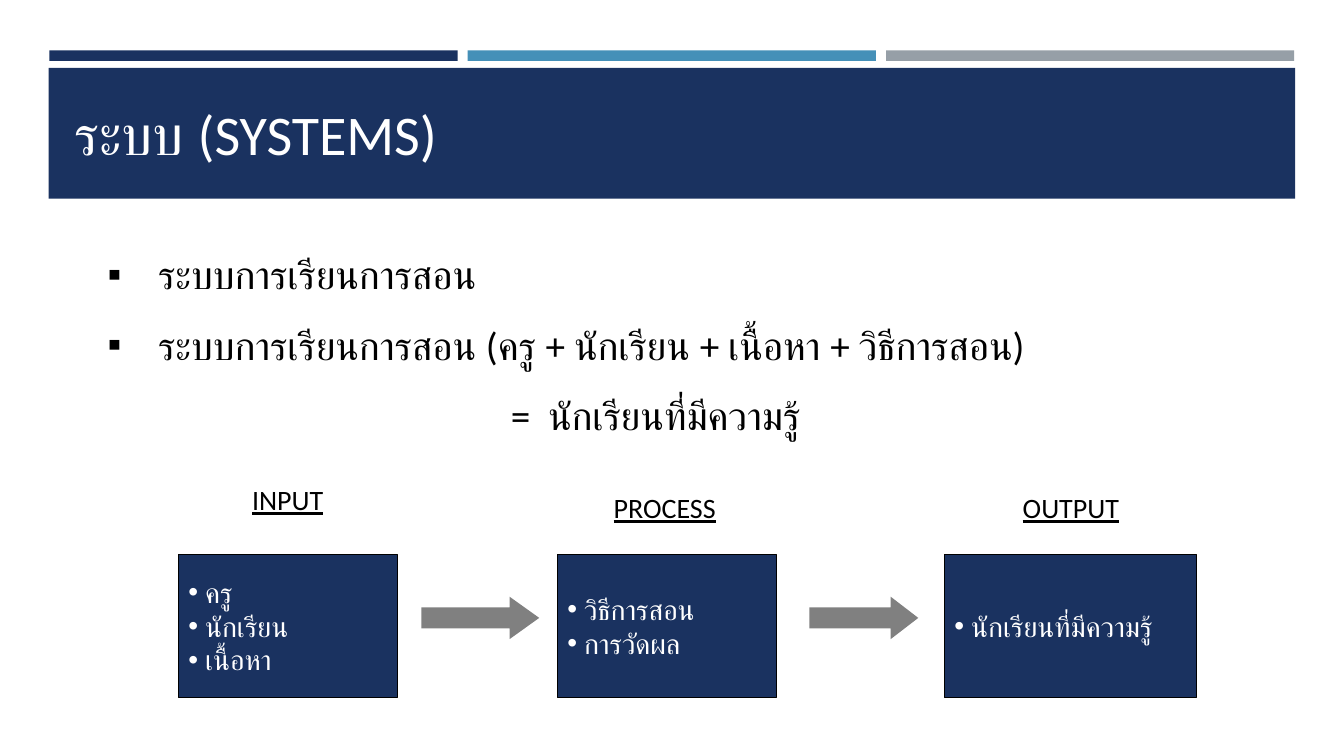
"""Build the slide on teaching systems."""
from lxml.etree import SubElement
from pptx import Presentation
from pptx.dml.color import RGBColor
from pptx.enum.shapes import MSO_SHAPE
from pptx.enum.text import MSO_ANCHOR, PP_ALIGN
from pptx.oxml.ns import qn
from pptx.util import Pt

COLORS = {
    "navy": "1A3260",
    "blue": "4590B8",
    "steel": "969FA7",
    "gray": "808080",
    "black": "000000",
    "white": "FFFFFF",
}
BOX_TOP, BOX_HIGH = 396, 102.24


def color(name):
    """Return the named colour."""
    return RGBColor.from_string(COLORS[name])


def style(para, size, tone):
    """Set the font of a paragraph."""
    para.font.name = "Calibri"
    para.font.size = Pt(size)
    para.font.color.rgb = color(tone)


def indent(para, left, bullet=None):
    """Indent a paragraph, with a hanging bullet if one is given."""
    props = para._p.get_or_add_pPr()
    props.set("marL", str(Pt(left)))
    props.set("indent", str(Pt(-left if bullet else 0)))
    if bullet:
        SubElement(props, qn("a:buFont")).set("typeface", "Arial")
        SubElement(props, qn("a:buChar")).set("char", bullet)


def add_block(slide, kind, left, top, width, height, fill):
    """Add a flat filled shape without an outline."""
    block = slide.shapes.add_shape(kind, Pt(left), Pt(top), Pt(width), Pt(height))
    block.shadow.inherit = False
    block.fill.solid()
    block.fill.fore_color.rgb = color(fill)
    block.line.fill.background()
    return block


def add_frame(slide, left, top, width, height):
    """Add a wrapping text box and return its text frame."""
    box = slide.shapes.add_textbox(Pt(left), Pt(top), Pt(width), Pt(height))
    box.text_frame.word_wrap = True
    return box.text_frame


def add_head(slide, text):
    """Add the stripes and the band, and set the title on top of them."""
    for i, fill in enumerate(("navy", "blue", "steel")):
        add_block(slide, MSO_SHAPE.RECTANGLE, 35.28 + 298.8 * i, 36, 291.6, 7.5, fill)
    add_block(slide, MSO_SHAPE.RECTANGLE, 34.8, 48.5, 890.4, 93.5, "navy")
    title = slide.shapes.title
    title.left, title.top = Pt(46.08), Pt(55.44)
    title.width, title.height = Pt(868.32), Pt(79.92)
    title.text_frame.text = text
    title.text_frame.vertical_anchor = MSO_ANCHOR.MIDDLE
    para = title.text_frame.paragraphs[0]
    para.alignment = PP_ALIGN.LEFT
    style(para, 40, "white")
    title.element.getparent().append(title.element)


def add_body(slide, items):
    """Add the main text from (text, indent, bullet) items."""
    frame = add_frame(slide, 69.84, 158.4, 836.64, 159.84)
    frame.text = "\n".join(text for text, _, _ in items)
    for para, (_, left, bullet) in zip(frame.paragraphs, items):
        para.line_spacing = 1.5
        style(para, 28, "black")
        indent(para, left, bullet)


def add_label(slide, text, left, top, width):
    """Add an underlined, centred label."""
    frame = add_frame(slide, left, top, width, 31.68)
    frame.text = text
    para = frame.paragraphs[0]
    para.alignment = PP_ALIGN.CENTER
    style(para, 20, "black")
    para.font.underline = True


def add_stage(slide, left, width, items):
    """Add an outlined box with a bullet list."""
    box = add_block(slide, MSO_SHAPE.RECTANGLE, left, BOX_TOP, width, BOX_HIGH, "navy")
    box.line.color.rgb = color("black")
    box.line.width = Pt(0.75)
    frame = box.text_frame
    frame.vertical_anchor = MSO_ANCHOR.MIDDLE
    frame.text = "\n".join(items)
    for para in frame.paragraphs:
        para.alignment = PP_ALIGN.LEFT
        style(para, 20, "white")
        indent(para, 12, "•")


def add_arrow(slide, left, width, head):
    """Add a gray arrow between two stages."""
    arrow = add_block(slide, MSO_SHAPE.RIGHT_ARROW, left, 426.24, width, 30.24, "gray")
    arrow.adjustments[0] = 0.5
    arrow.adjustments[1] = head


def main():
    """Build and save the deck."""
    deck = Presentation()
    deck.slide_width, deck.slide_height = Pt(960), Pt(540)
    slide = deck.slides.add_slide(deck.slide_layouts[5])
    add_head(slide, "ระบบ (SYSTEMS)")
    add_body(slide, [
        ("ระบบการเรียนการสอน", 36, "▪"),
        ("ระบบการเรียนการสอน (ครู + นักเรียน + เนื้อหา + วิธีการสอน)", 36, "▪"),
        ("=  นักเรียนที่มีความรู้", 288, None),
    ])
    add_stage(slide, 127.44, 156.24, ["ครู", "นักเรียน", "เนื้อหา"])
    add_stage(slide, 398.16, 156.24, ["วิธีการสอน", "การวัดผล"])
    add_stage(slide, 674.64, 180, ["นักเรียนที่มีความรู้"])
    add_arrow(slide, 300.96, 84.24, 0.7)
    add_arrow(slide, 578.16, 77.76, 0.65)
    add_label(slide, "INPUT", 160.56, 341.28, 90)
    add_label(slide, "PROCESS", 408.96, 347.04, 131.76)
    add_label(slide, "OUTPUT", 699.12, 347.04, 131.76)
    deck.save("out.pptx")


if __name__ == "__main__":
    main()
